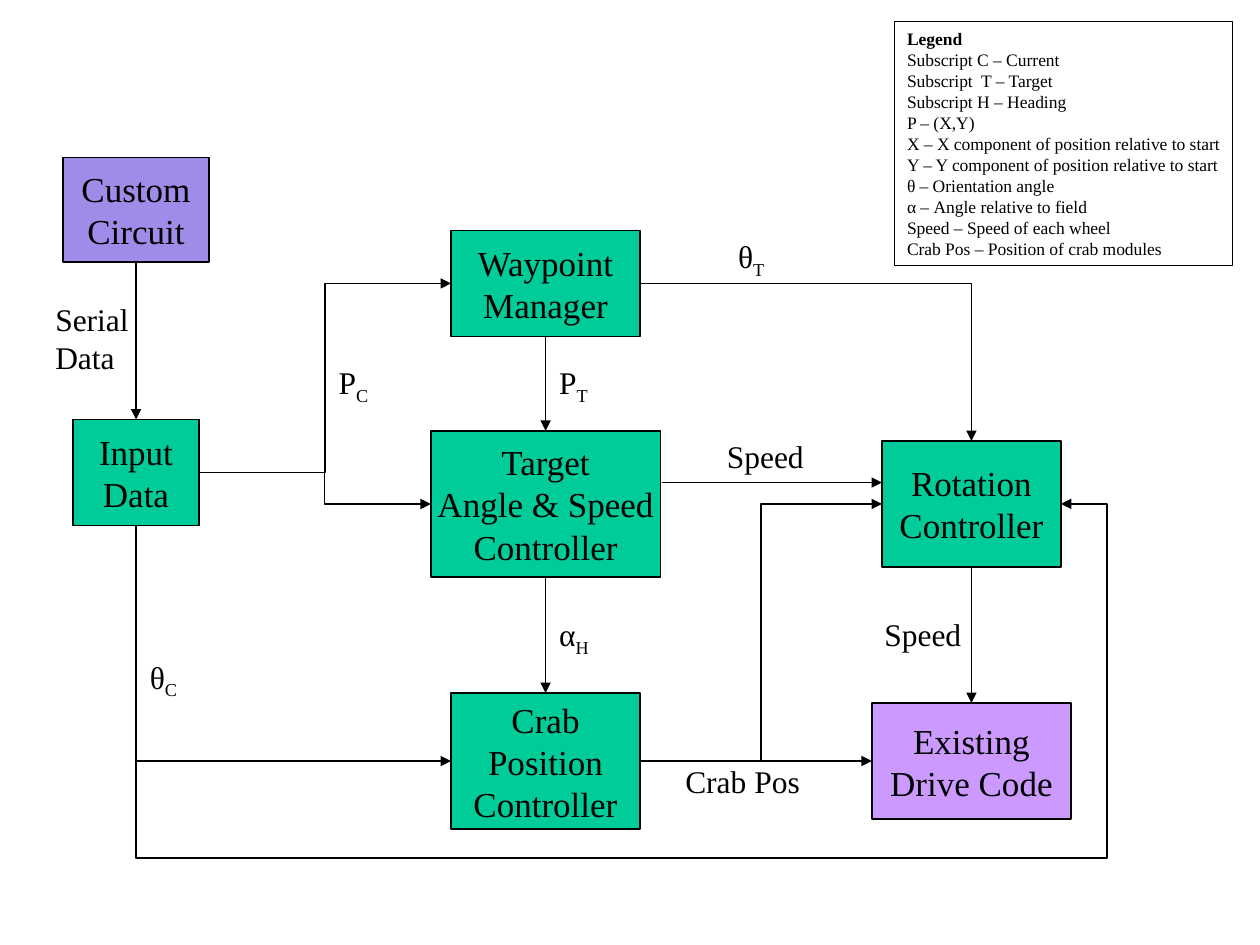
"""Build a block diagram of a crab drive control system."""
from lxml import etree
from pptx import Presentation, util as u
from pptx.dml.color import RGBColor
from pptx.enum import shapes, text
from pptx.oxml.ns import qn

COLOURS = {"ink": "000000", "circuit": "9E8CE8", "process": "00CC99", "drive": "CC99FF"}
TOP, LEFT, BOTTOM, RIGHT = range(4)

BLOCKS = {
    "circuit": ("Custom\nCircuit", 0.5, 1.25, 1.16, 0.83, "circuit"),
    "waypoint": ("Waypoint\nManager", 3.58, 1.83, 1.5, 0.84, "process"),
    "target": ("Target\nAngle & Speed\nController", 3.42, 3.42, 1.82, 1.16, "process"),
    "crab": ("Crab\nPosition\nController", 3.58, 5.5, 1.5, 1.08, "process"),
    "drive": ("Existing\nDrive Code", 6.92, 5.58, 1.58, 0.92, "drive"),
    "input": ("Input\nData", 0.58, 3.33, 1, 0.84, "process"),
    "rotation": ("Rotation\nController", 7, 3.5, 1.42, 1, "process"),
}

LABELS = [
    ("θ", "C", 1.09, 5.17, 0.45, 0.44),
    ("P", "C", 2.59, 2.83, 0.46, 0.44),
    ("P", "T", 4.34, 2.83, 0.46, 0.44),
    ("α", "H", 4.34, 4.83, 0.46, 0.44),
    ("θ", "T", 5.76, 1.83, 0.45, 0.44),
    ("Speed", "", 5.67, 3.42, 0.81, 0.4),
    ("Crab Pos", "", 5.34, 6, 1.11, 0.4),
    ("Serial\nData", "", 0.34, 2.33, 0.78, 0.7),
    ("Speed", "", 6.92, 4.83, 0.81, 0.4),
]

LEGEND = [
    "Legend",
    "Subscript C – Current",
    "Subscript  T – Target",
    "Subscript H – Heading",
    "P – (X,Y)",
    "X – X component of position relative to start",
    "Y – Y component of position relative to start",
    "θ – Orientation angle",
    "α – Angle relative to field",
    "Speed – Speed of each wheel",
    "Crab Pos – Position of crab modules",
]

STRAIGHT = [
    ("circuit", BOTTOM, "input", TOP),
    ("waypoint", BOTTOM, "target", TOP),
    ("target", BOTTOM, "crab", TOP),
    ("crab", RIGHT, "drive", LEFT),
    ("rotation", BOTTOM, "drive", TOP),
]

ELBOWS = [
    ("input", RIGHT, "waypoint", LEFT, "bentConnector3", {"adj1": 0.5}),
    ("input", RIGHT, "target", LEFT, "bentConnector3", {"adj1": 0.54}),
    ("crab", RIGHT, "rotation", LEFT, "bentConnector3", {"adj1": 0.5}),
    ("waypoint", RIGHT, "rotation", TOP, "bentConnector2", {}),
]

TURNED_ELBOWS = [
    ("input", BOTTOM, "crab", LEFT, "bentConnector2", {}, 270, ["flipH"]),
    ("input", BOTTOM, "rotation", RIGHT, "bentConnector4",
     {"adj1": -15.53, "adj2": 1.05}, 90, ["flipH", "flipV"]),
]


class Diagram:
    """Hold the diagram's style and the current slide."""

    font_name = "Times New Roman"
    line_width = u.Pt(0.75)

    def __init__(self, slide):
        self.slide = slide
        self.blocks = {}

    def colour(self, name):
        return RGBColor.from_string(COLOURS[name])

    def style_line(self, line):
        line.color.rgb = self.colour("ink")
        line.width = self.line_width

    def style_text(self, frame, size, alignment):
        frame.word_wrap = False
        for paragraph in frame.paragraphs:
            paragraph.alignment = alignment
            for run in paragraph.runs:
                run.font.name = self.font_name
                run.font.size = u.Pt(size)
                run.font.color.rgb = self.colour("ink")

    def rectangle(self, wording, left, top, width, height, size, alignment):
        shape = self.slide.shapes.add_shape(
            shapes.MSO_SHAPE.RECTANGLE, *map(u.Inches, (left, top, width, height)))
        shape.shadow.inherit = False
        self.style_line(shape.line)
        shape.text_frame.text = wording
        self.style_text(shape.text_frame, size, alignment)
        return shape

    def block(self, name, wording, left, top, width, height, fill):
        shape = self.rectangle(wording, left, top, width, height, 20, text.PP_ALIGN.CENTER)
        shape.fill.solid()
        shape.fill.fore_color.rgb = self.colour(fill)
        shape.text_frame.vertical_anchor = text.MSO_ANCHOR.MIDDLE
        self.blocks[name] = shape

    def legend(self, lines, left, top, width, height):
        shape = self.rectangle(
            "\n".join(lines), left, top, width, height, 10, text.PP_ALIGN.LEFT)
        shape.fill.background()
        shape.text_frame.vertical_anchor = text.MSO_ANCHOR.TOP
        shape.text_frame.paragraphs[0].runs[0].font.bold = True

    def label(self, wording, subscript, left, top, width, height):
        box = self.slide.shapes.add_textbox(*map(u.Inches, (left, top, width, height)))
        frame = box.text_frame
        frame.text = wording
        if subscript:
            run = frame.paragraphs[0].add_run()
            run.text = subscript
            run.font._element.set("baseline", "-25000")
        self.style_text(frame, 18, text.PP_ALIGN.LEFT)
        frame.auto_size = text.MSO_AUTO_SIZE.SHAPE_TO_FIT_TEXT

    def arrow(self, kind, start_x=0, start_y=0, end_x=0, end_y=0):
        connector = self.slide.shapes.add_connector(
            kind, *map(u.Inches, (start_x, start_y, end_x, end_y)))
        self.style_line(connector.line)
        properties = connector._element.spPr
        etree.SubElement(properties.find(qn("a:ln")), qn("a:tailEnd"), type="triangle")
        etree.SubElement(properties, qn("a:effectLst"))
        return connector

    def join(self, kind, start, start_side, end, end_side):
        connector = self.arrow(kind)
        connector.begin_connect(self.blocks[start], start_side)
        connector.end_connect(self.blocks[end], end_side)
        return connector

    def elbow(self, start, start_side, end, end_side, preset, bends):
        connector = self.join(shapes.MSO_CONNECTOR.ELBOW, start, start_side, end, end_side)
        geometry = connector._element.spPr.find(qn("a:prstGeom"))
        geometry.set("prst", preset)
        guides = geometry.find(qn("a:avLst"))
        for name, bend in bends.items():
            etree.SubElement(guides, qn("a:gd"), name=name, fmla=f"val {round(bend * 100000)}")
        return connector

    def turned_elbow(self, start, start_side, end, end_side, preset, bends, degrees, flips):
        connector = self.elbow(start, start_side, end, end_side, preset, bends)
        width, height = connector.width, connector.height
        connector.left += (width - height) // 2
        connector.top += (height - width) // 2
        connector.width, connector.height = height, width
        transform = connector._element.spPr.find(qn("a:xfrm"))
        transform.set("rot", str(degrees * 60000))
        for flip in ("flipH", "flipV"):
            transform.set(flip, "1" if flip in flips else "0")


def main():
    presentation = Presentation()
    presentation.slide_width, presentation.slide_height = u.Inches(10), u.Inches(7.5)
    diagram = Diagram(presentation.slides.add_slide(presentation.slide_layouts[6]))
    for name, block in BLOCKS.items():
        diagram.block(name, *block)
    for ends in STRAIGHT:
        diagram.join(shapes.MSO_CONNECTOR.STRAIGHT, *ends)
    diagram.arrow(shapes.MSO_CONNECTOR.STRAIGHT, 5.25, 3.83, 7, 3.83)
    for elbow in ELBOWS:
        diagram.elbow(*elbow)
    for elbow in TURNED_ELBOWS:
        diagram.turned_elbow(*elbow)
    for label in LABELS:
        diagram.label(*label)
    diagram.legend(LEGEND, 7.1, 0.17, 2.68, 1.94)
    presentation.save("out.pptx")


if __name__ == "__main__":
    main()
